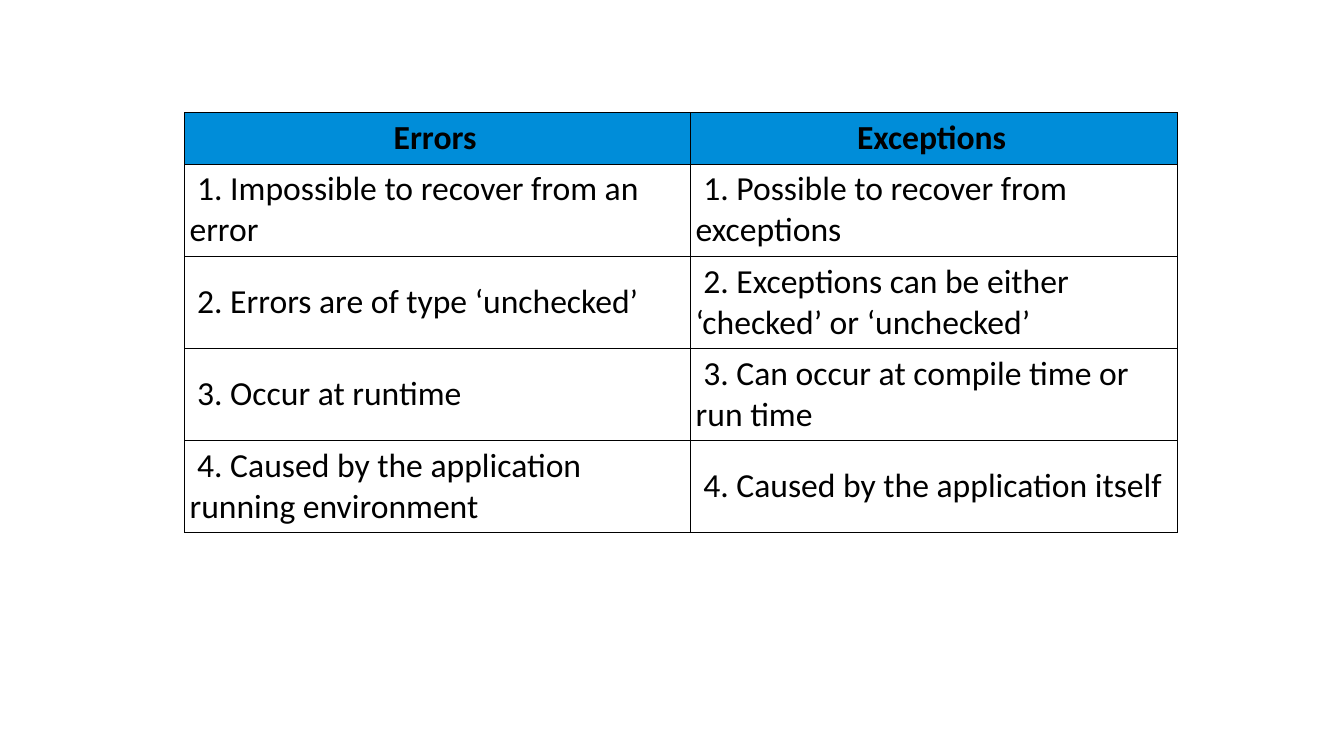
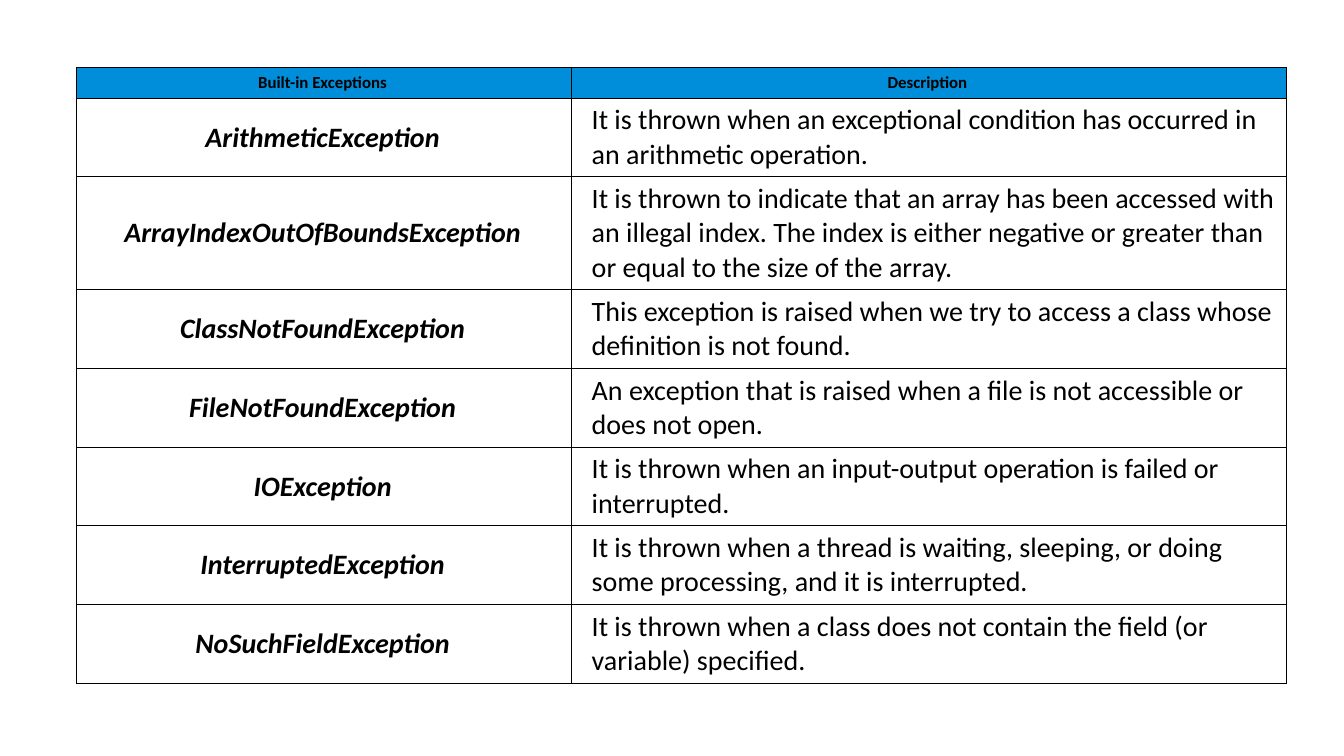
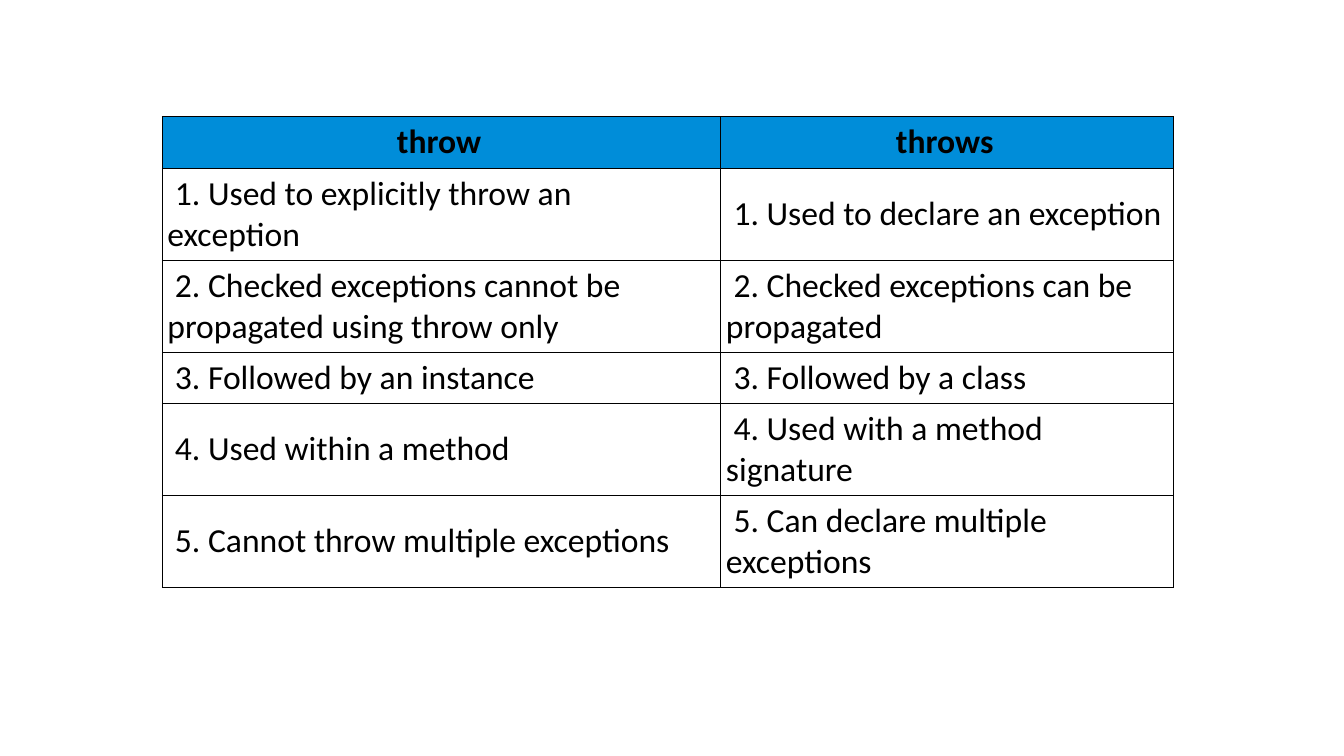
from pptx import Presentation
from pptx.dml.color import RGBColor
from pptx.enum.text import MSO_ANCHOR, PP_ALIGN
from pptx.oxml import parse_xml
from pptx.oxml.ns import nsdecls
from pptx.util import Inches, Pt

FONT, BLACK, WHITE, BLUE = "Calibri", "000000", "FFFFFF", "008DD9"


def rgb(color):
    return RGBColor.from_string(color)


def add_borders(cell):
    """Give the cell thin black lines; they must come before its fill."""
    for i, side in enumerate(("lnL", "lnR", "lnT", "lnB")):
        cell._tc.get_or_add_tcPr().insert(i, parse_xml(
            f'<a:{side} {nsdecls("a")} w="{Pt(0.75)}"><a:solidFill>'
            f'<a:srgbClr val="{BLACK}"/></a:solidFill></a:{side}>'))


# Places and sizes are percentages of the slide's width (x) and height (y).
tables = [
    dict(
        x=13.73, y=14.93, cols=(37.66, 36.23),
        rows=(5.73, 10.27, 10.27, 10.27, 10.27),
        sizes=(24, 24), margins=(0.05, 0.05, 0.1), numbered=True,
        text=[
            ("Errors", "Exceptions"),
            ("Impossible to recover from an error",
             "Possible to recover from exceptions"),
            ("Errors are of type ‘unchecked’",
             "Exceptions can be either ‘checked’ or ‘unchecked’"),
            ("Occur at runtime", "Can occur at compile time or run time"),
            ("Caused by the application running environment",
             "Caused by the application itself"),
        ]),
    dict(
        x=5.7, y=8.93, cols=(36.83, 53.19),
        rows=(3.87, 9.2, 14.8, 9.2, 8.27, 8.27, 9.2, 9.2),
        sizes=(12, 20), margins=(0.03, 0.2, 0.06), numbered=False,
        text=[
            ("Built-in Exceptions", "Description"),
            ("ArithmeticException",
             "It is thrown when an exceptional condition has occurred in "
             "an arithmetic operation."),
            ("ArrayIndexOutOfBoundsException",
             "It is thrown to indicate that an array has been accessed with "
             "an illegal index. The index is either negative or greater than "
             "or equal to the size of the array."),
            ("ClassNotFoundException",
             "This exception is raised when we try to access a class whose "
             "definition is not found."),
            ("FileNotFoundException",
             "An exception that is raised when a file is not accessible or "
             "does not open."),
            ("IOException",
             "It is thrown when an input-output operation is failed or "
             "interrupted."),
            ("InterruptedException",
             "It is thrown when a thread is waiting, sleeping, or doing "
             "some processing, and it is interrupted."),
            ("NoSuchFieldException",
             "It is thrown when a class does not contain the field (or "
             "variable) specified."),
        ]),
    dict(
        x=12.08, y=15.47, cols=(41.56, 33.68),
        rows=(5.73, 10.27, 10.27, 5.73, 10.27, 10.27),
        sizes=(24, 24), margins=(0.05, 0.05, 0.1), numbered=True,
        text=[
            ("throw", "throws"),
            ("Used to explicitly throw an exception",
             "Used to declare an exception"),
            ("Checked exceptions cannot be propagated using throw only",
             "Checked exceptions can be propagated"),
            ("Followed by an instance", "Followed by a class"),
            ("Used within a method", "Used with a method signature"),
            ("Cannot throw multiple exceptions",
             "Can declare multiple exceptions"),
        ]),
]

prs = Presentation()
prs.slide_width, prs.slide_height = Inches(13.33), Inches(7.5)
ux, uy = prs.slide_width / 100, prs.slide_height / 100

for t in tables:
    s = prs.slides.add_slide(prs.slide_layouts[6])
    tbl = s.shapes.add_table(
        len(t["rows"]), len(t["cols"]), int(t["x"] * ux), int(t["y"] * uy),
        int(sum(t["cols"]) * ux), int(sum(t["rows"]) * uy)).table
    tbl.first_row = tbl.horz_banding = False
    for col, width in zip(tbl.columns, t["cols"]):
        col.width = int(width * ux)
    for row, height in zip(tbl.rows, t["rows"]):
        row.height = int(height * uy)

    header_size, body_size = t["sizes"]
    left, body_left, right = t["margins"]
    for r, texts in enumerate(t["text"]):
        for c, text in enumerate(texts):
            header = r == 0
            term = not header and not t["numbered"] and c == 0
            item = not header and t["numbered"]

            cell = tbl.cell(r, c)
            cell.fill.solid()
            cell.fill.fore_color.rgb = rgb(BLUE if header else WHITE)
            add_borders(cell)
            cell.vertical_anchor = MSO_ANCHOR.MIDDLE
            cell.margin_left = Inches(left if header or term else body_left)
            cell.margin_right = Inches(right)
            cell.margin_top = cell.margin_bottom = Inches(0.05)

            p = cell.text_frame.paragraphs[0]
            p.text = f"{r}. {text}" if item else text
            p.alignment = PP_ALIGN.CENTER if header or term else PP_ALIGN.LEFT
            if item:
                p._p.get_or_add_pPr().set("indent", str(Pt(5.4)))
            p.font.name = FONT
            p.font.size = Pt(header_size if header else body_size)
            p.font.bold = header or term
            p.font.italic = term
            p.font.color.rgb = rgb(BLACK)

prs.save("out.pptx")
